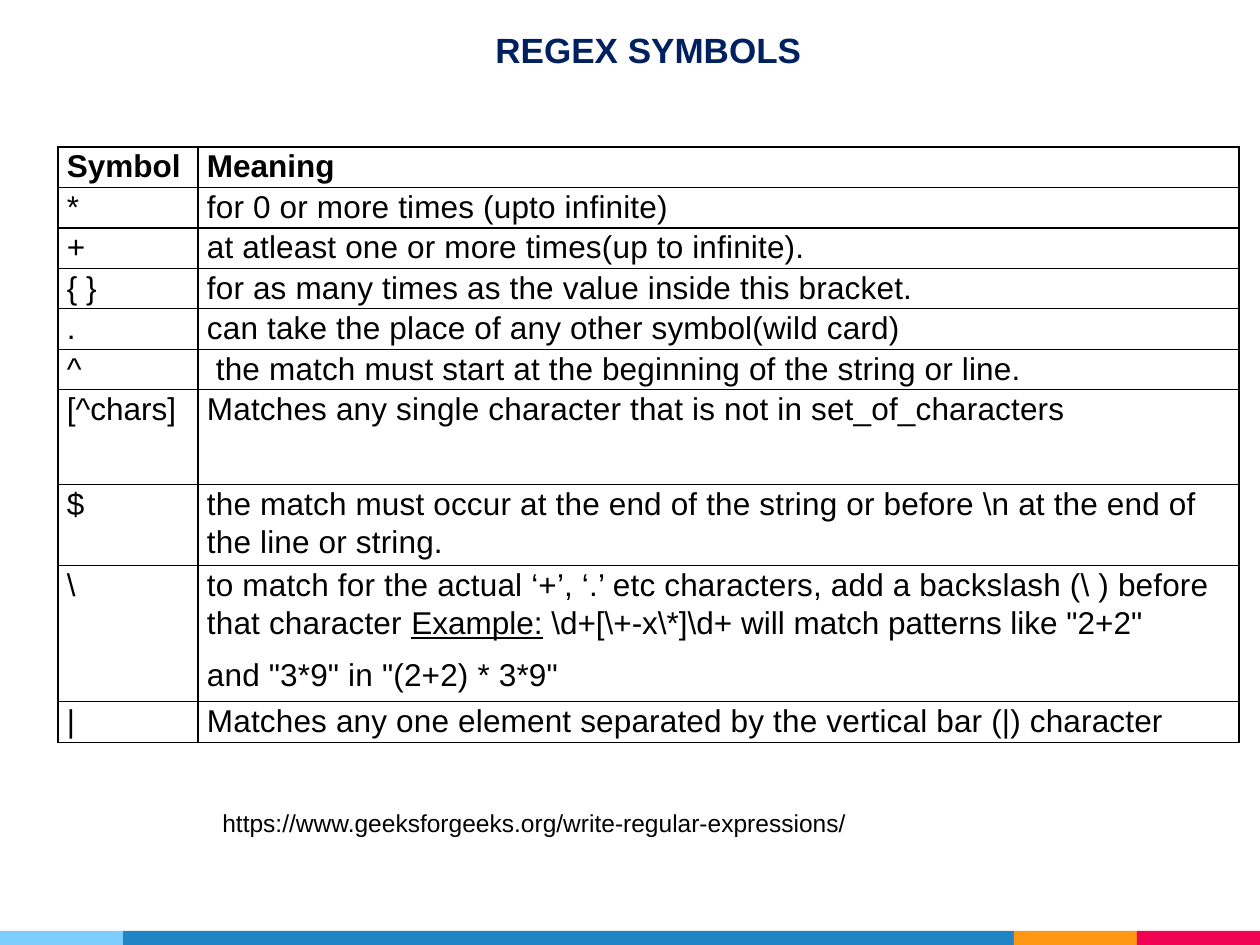
from lxml import etree
from pptx import Presentation
from pptx import util as u
from pptx.dml.color import RGBColor
from pptx.enum import shapes
from pptx.oxml import ns

BLACK = RGBColor(0, 0, 0)
NAVY = RGBColor(0x00, 0x20, 0x60)
SKY = RGBColor(0x7E, 0xCE, 0xFD)
BLUE = RGBColor(0x21, 0x85, 0xC5)
ORANGE = RGBColor(0xFF, 0x97, 0x15)
RED = RGBColor(0xF2, 0x02, 0x53)


def px(n):
    return u.Emu(round(n * 914400 / 126))


def style(font, size, color, bold=False):
    font.name = "Arial"
    font.size = u.Pt(size)
    font.color.rgb = color
    font.bold = bold


deck = Presentation()
deck.slide_width, deck.slide_height = px(1260), px(945)
slide = deck.slides.add_slide(deck.slide_layouts[6])

left = 0
for width, color in [(123, SKY), (891, BLUE), (123, ORANGE), (123, RED)]:
    bar = slide.shapes.add_shape(
        shapes.MSO_SHAPE.RECTANGLE, px(left), px(931), px(width), px(14))
    bar.shadow.inherit = False
    bar.fill.solid()
    bar.fill.fore_color.rgb = color
    bar.line.fill.background()
    left += width

labels = [
    ("REGEX SYMBOLS", 483, 22, 514, 55, 20, NAVY, True),
    ("https://www.geeksforgeeks.org/write-regular-expressions/",
     210, 802, 1182, 43, 14, BLACK, False),
]
for words, left, top, width, height, size, color, bold in labels:
    box = slide.shapes.add_textbox(px(left), px(top), px(width), px(height))
    box.text_frame.word_wrap = True
    box.text_frame.text = words
    style(box.text_frame.paragraphs[0].runs[0].font, size, color, bold)

rows = [
    ("Symbol", ["Meaning"], 40),
    ("*", ["for 0 or more times (upto infinite)"], 40),
    ("+", ["at atleast one or more times(up to infinite)."], 40),
    ("{ }", ["for as many times as the value inside this bracket."], 40),
    (".", ["can take the place of any other symbol(wild card)"], 40),
    ("^", ["the match must start at the beginning of the string or line."], 40),
    ("[^chars]",
     ["Matches any single character that is not in set_of_characters"], 95),
    ("$", ["the match must occur at the end of the string or before \\n "
           "at the end of the line or string."], 81),
    ("\\", ["to match for the actual ‘+’, ‘.’ etc characters, add a backslash "
            "(\\ ) before that character Example: \\d+[\\+-x\\*]\\d+ will match "
            "patterns like \"2+2\"",
            "and \"3*9\" in \"(2+2) * 3*9\""], 136),
    ("|", ["Matches any one element separated by the vertical bar (|) character"],
     40),
]
total = sum(row[2] for row in rows)
table = slide.shapes.add_table(
    len(rows), 2, px(58), px(147), px(1181), px(total)).table
table.first_row = table.horz_banding = False
table.columns[0].width, table.columns[1].width = px(140), px(1041)

for r, (symbol, meaning, height) in enumerate(rows):
    table.rows[r].height = px(height)
    for c, lines in enumerate([[symbol], meaning]):
        cell = table.cell(r, c)
        cell.margin_left = cell.margin_right = px(9)
        cell.margin_top = cell.margin_bottom = 0
        cell.fill.background()
        props = cell._tc.get_or_add_tcPr()
        for i, side in enumerate(["lnL", "lnR", "lnT", "lnB"]):
            edge = etree.Element(ns.qn("a:" + side), w=str(u.Pt(0.75)))
            solid = etree.SubElement(edge, ns.qn("a:solidFill"))
            etree.SubElement(solid, ns.qn("a:srgbClr"), val=str(BLACK))
            props.insert(i, edge)
        cell.text_frame.text = "\n".join(lines)
        for para, line in zip(cell.text_frame.paragraphs, lines):
            para.line_spacing = 1.07
            para.space_after = u.Pt(8)
            if symbol == "^" and c == 1:
                para._p.get_or_add_pPr().set("marL", str(px(9)))
            before, mark, after = line.partition("Example:")
            para.runs[0].text = before
            for part in filter(None, [mark, after]):
                para.add_run().text = part
            for i, run in enumerate(para.runs):
                style(run.font, 18, BLACK, r == 0)
                if run.text == mark:
                    run.font.underline = True
                if r and c and i == 0:
                    run.font._rPr.set("spc", "10")

deck.save("out.pptx")
